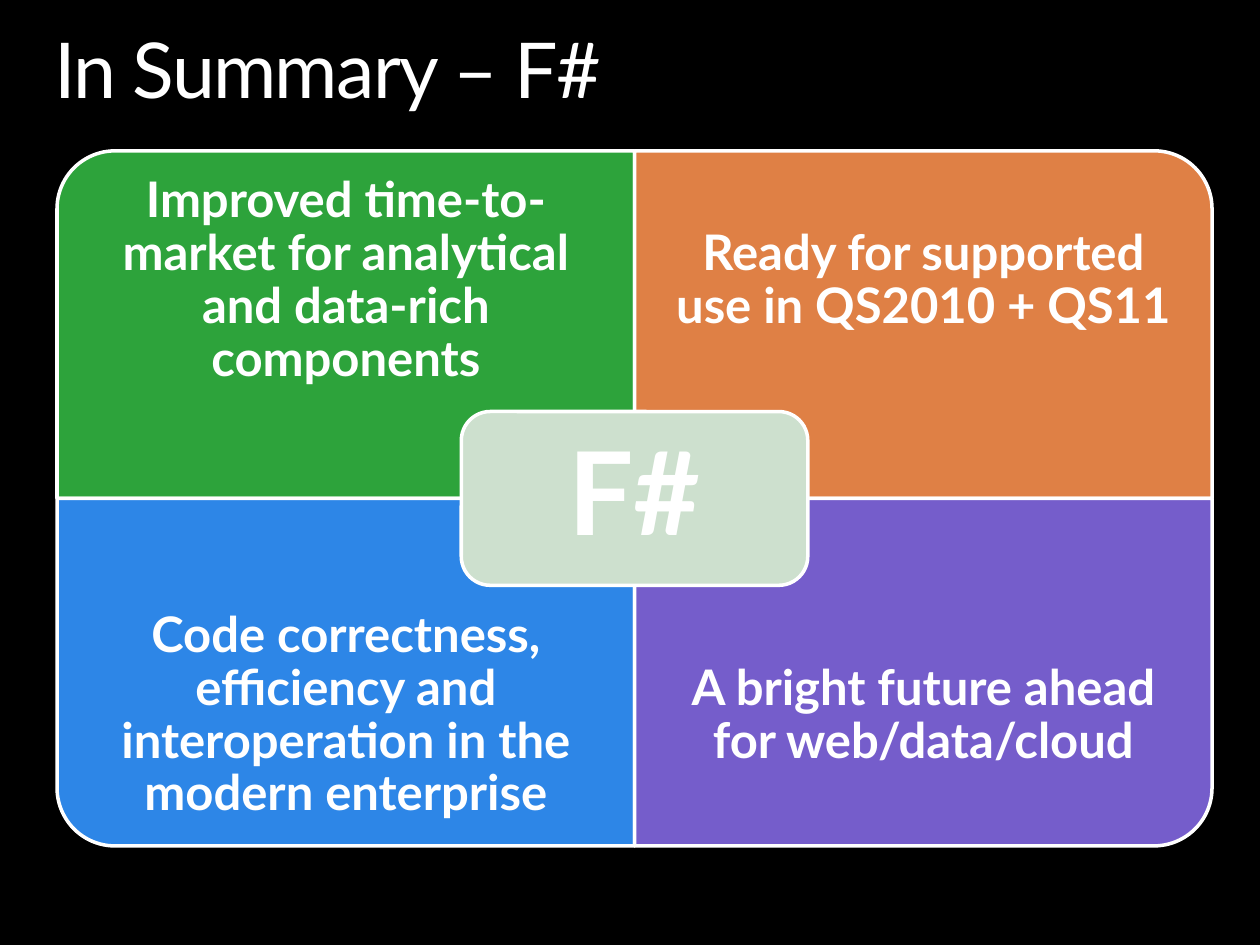
from pptx import Presentation
from pptx.dml.color import RGBColor as RGB
from pptx.enum.shapes import MSO_SHAPE as Shape
from pptx.enum.text import MSO_ANCHOR as Anchor, PP_ALIGN as Align
from pptx.util import Pt

WHITE = RGB(0xFF, 0xFF, 0xFF)
BLACK = RGB(0, 0, 0)
GREEN = RGB(0x2D, 0xA3, 0x3B)
ORANGE = RGB(0xDF, 0x80, 0x45)
BLUE = RGB(0x2D, 0x86, 0xE7)
PURPLE = RGB(0x75, 0x5D, 0xCB)
PALE = RGB(0xCD, 0xE0, 0xCE)

# Content: column, row, turn, colour, words
TITLE = "In Summary – F#"
HUB = "F#"
PANELS = [
    (0, 0, 270, GREEN, "Improved time-to-market for analytical and data-rich components"),
    (1, 0, 0, ORANGE, "Ready for supported use in QS2010 + QS11"),
    (0, 1, 180, BLUE, "Code correctness, efficiency and interoperation in the modern enterprise"),
    (1, 1, 90, PURPLE, "A bright future ahead for web/data/cloud"),
]

# Layout in points
LEFT, TOP = 32.6, 86.2
WIDE, HIGH = 330, 198.6
TEXT_H = HIGH * 0.75
MID_X, MID_Y = LEFT + WIDE, TOP + HIGH
HUB_W, HUB_H, HUB_GAP = 198, 99.3, 4.85

deck = Presentation()
deck.slide_width, deck.slide_height = Pt(720), Pt(540)
slide = deck.slides.add_slide(deck.slide_layouts[6])
slide.background.fill.solid()
slide.background.fill.fore_color.rgb = BLACK


def add_block(kind, mid_x, mid_y, wide, high, color, turn=0):
    """Draw an outlined shape around its centre, turned clockwise."""
    if turn % 180:
        wide, high = high, wide
    block = slide.shapes.add_shape(
        kind, Pt(mid_x - wide / 2), Pt(mid_y - high / 2), Pt(wide), Pt(high))
    block.rotation = turn
    block.shadow.inherit = False
    block.fill.solid()
    block.fill.fore_color.rgb = color
    block.line.color.rgb = WHITE
    block.line.width = Pt(2)


def add_text(words, left, top, wide, high, size, inset=0, bold=True,
             align=Align.CENTER, anchor=Anchor.MIDDLE):
    box = slide.shapes.add_textbox(Pt(left), Pt(top), Pt(wide), Pt(high))
    frame = box.text_frame
    frame.word_wrap = True
    frame.vertical_anchor = anchor
    for side in ("left", "top", "right", "bottom"):
        setattr(frame, f"margin_{side}", Pt(inset))
    para = frame.paragraphs[0]
    para.alignment = align
    para.line_spacing = 0.9
    run = para.add_run()
    run.text = words
    for name, value in {"name": "Lato", "size": Pt(size), "bold": bold}.items():
        setattr(run.font, name, value)
    run.font.color.rgb = WHITE
    return run


# Title, with tightened letters
title = add_text(TITLE, 31, 18, 659, 48, 44, bold=False,
                 align=Align.LEFT, anchor=Anchor.TOP)
title.font._element.set("spc", "-100")

# Four panels, each with its round corner facing outward
for col, row, turn, color, words in PANELS:
    x, y = LEFT + col * WIDE, TOP + row * HIGH
    add_block(Shape.ROUND_1_RECTANGLE, x + WIDE / 2, y + HIGH / 2,
              WIDE, HIGH, color, turn)
    add_text(words, x, y + row * (HIGH - TEXT_H), WIDE, TEXT_H, 28, 15.6)

# Hub over the crossing
add_block(Shape.ROUNDED_RECTANGLE, MID_X, MID_Y, HUB_W, HUB_H, PALE)
add_text(HUB, MID_X - HUB_W / 2 + HUB_GAP, MID_Y - HUB_H / 2 + HUB_GAP,
         HUB_W - 2 * HUB_GAP, HUB_H - 2 * HUB_GAP, 66, 20)

deck.save("out.pptx")
